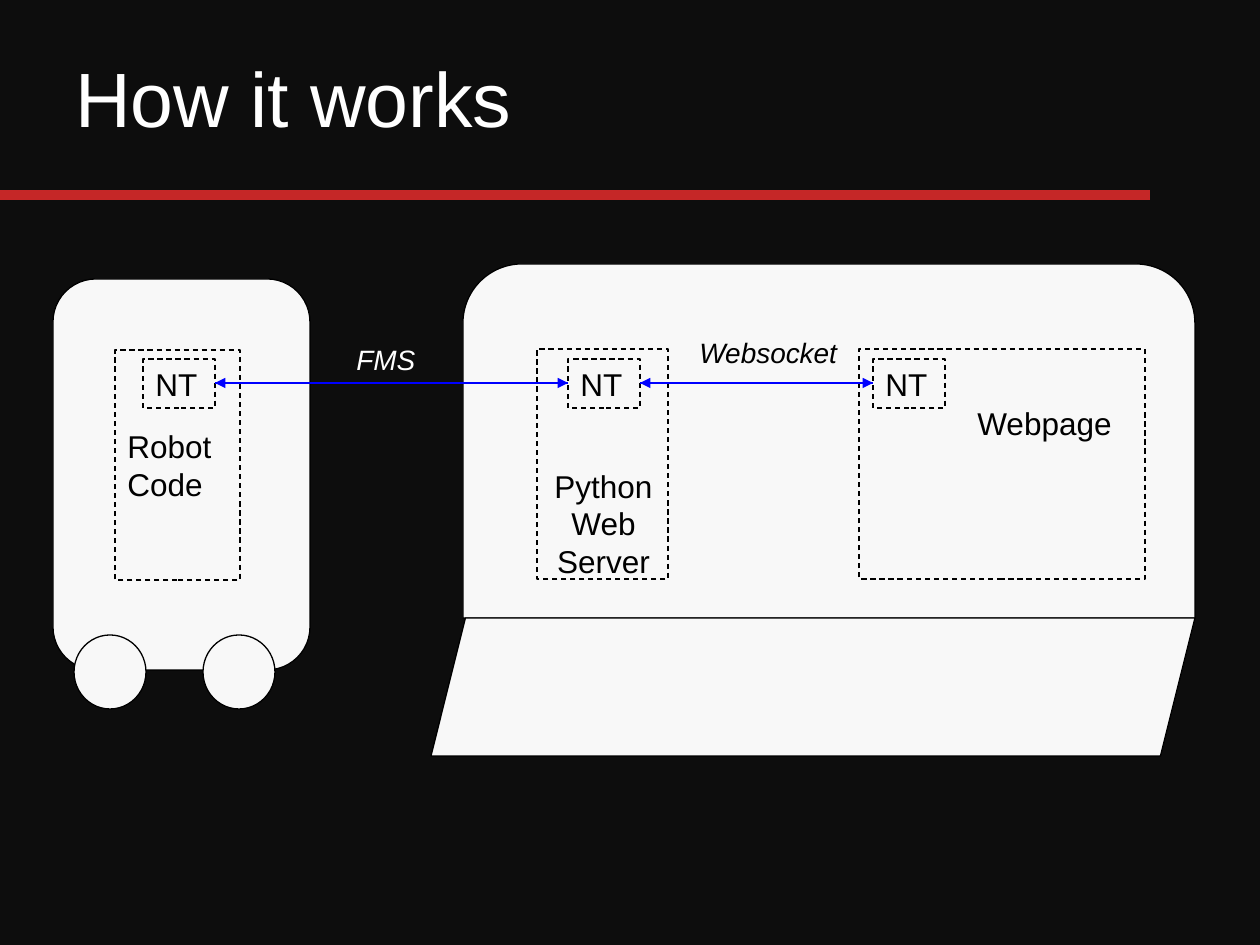
from lxml import etree
from pptx import Presentation
from pptx.dml.color import RGBColor
from pptx.enum.dml import MSO_LINE
from pptx.enum.shapes import MSO_CONNECTOR, MSO_SHAPE
from pptx.enum.text import MSO_ANCHOR, PP_ALIGN
from pptx.oxml.ns import qn
from pptx.util import Pt

PX = 914400 / 126
DASH = MSO_LINE.DASH
STRAIGHT = MSO_CONNECTOR.STRAIGHT
RECT, ROUNDED = MSO_SHAPE.RECTANGLE, MSO_SHAPE.ROUNDED_RECTANGLE
TOP_ROUNDED, SLANTED = MSO_SHAPE.ROUND_2_SAME_RECTANGLE, MSO_SHAPE.PARALLELOGRAM
OVAL = MSO_SHAPE.OVAL
TOP, MIDDLE = MSO_ANCHOR.TOP, MSO_ANCHOR.MIDDLE
LEFT, CENTER = PP_ALIGN.LEFT, PP_ALIGN.CENTER

COLORS = {
    "background": "0D0D0D",
    "rule": "C52727",
    "panel": "F8F8F8",
    "black": "000000",
    "white": "FFFFFF",
    "arrow": "0000FF",
}


def px(*values):
    return [round(v * PX) for v in values]


def rgb(name):
    return RGBColor.from_string(COLORS[name])


def write_text(s, lines, anchor=TOP, align=LEFT, color="black", size=18, **style):
    tf = s.text_frame
    frame = {"word_wrap": True, "vertical_anchor": anchor}
    margins = dict.fromkeys(("margin_left", "margin_top", "margin_right", "margin_bottom"), Pt(7.2))
    for name, value in (frame | margins).items():
        setattr(tf, name, value)
    font_values = {"name": "Arial", "size": Pt(size)} | style
    for i, line in enumerate(lines):
        p = tf.paragraphs[0] if i == 0 else tf.add_paragraph()
        p.text = line
        p.alignment = align
        for r in p.runs:
            for name, value in font_values.items():
                setattr(r.font, name, value)
            r.font.color.rgb = rgb(color)


def add_label(slide, box, *lines, **style):
    write_text(slide.shapes.add_textbox(*px(*box)), lines, **style)


def add_panel(slide, kind, box, adjustments=(), dash=None):
    s = slide.shapes.add_shape(kind, *px(*box))
    s.shadow.inherit = False
    s.fill.solid()
    s.fill.fore_color.rgb = rgb("panel")
    s.line.color.rgb = rgb("black")
    s.line.width = Pt(0.75)
    if dash:
        s.line.dash_style = dash
    for i, value in enumerate(adjustments):
        s.adjustments[i] = value
    return s


def add_line(slide, x1, x2, y, color, width, arrow=False):
    c = slide.shapes.add_connector(STRAIGHT, *px(x1, y, x2, y))
    c.line.color.rgb = rgb(color)
    c.line.width = Pt(width)
    if arrow:
        etree.SubElement(c.line._get_or_add_ln(), qn("a:tailEnd"), type="triangle")
    etree.SubElement(c._element.spPr, qn("a:effectLst"))


def add_two_way_link(slide, x1, x2, y):
    for start, end in ((x2, x1), (x1, x2)):
        add_line(slide, start, end, y, "arrow", 0.75, arrow=True)


def main():
    prs = Presentation()
    prs.slide_width, prs.slide_height = px(1260, 945)
    slide = prs.slides.add_slide(prs.slide_layouts[6])
    slide.background.fill.solid()
    slide.background.fill.fore_color.rgb = rgb("background")

    # Title and rule
    add_line(slide, 0, 1150, 195, "rule", 6)
    add_label(slide, (63, 38, 880, 157), "How it works", size=44, color="white")

    # Laptop and robot bodies
    add_panel(slide, TOP_ROUNDED, (463, 264, 732, 354), (0.167, 0))
    add_panel(slide, SLANTED, (431, 618, 764, 138), (0.25,))
    add_panel(slide, ROUNDED, (53, 279, 257, 391), (0.167,))

    # Programs
    robot_code = add_panel(slide, RECT, (115, 350, 125, 230), dash=DASH)
    write_text(robot_code, ["Robot", "Code"], anchor=MIDDLE)
    add_panel(slide, RECT, (859, 349, 286, 230), dash=DASH)
    add_label(slide, (965, 391, 180, 44), "Webpage")
    add_panel(slide, RECT, (537, 349, 131, 230), dash=DASH)
    add_label(slide, (538, 454, 131, 74), "Python\vWeb", "Server", align=CENTER)

    # Robot wheels
    for x in (74, 203):
        add_panel(slide, OVAL, (x, 635, 72, 74))

    # NT nodes and the links between them
    node_width = 72
    nodes = (143, 568, 873)
    for x in nodes:
        node = add_panel(slide, RECT, (x, 359, node_width, 49), dash=DASH)
        write_text(node, ["NT"], anchor=MIDDLE)
    for left, right in zip(nodes, nodes[1:]):
        add_two_way_link(slide, left + node_width, right, 383)

    # Link names
    add_label(slide, (687, 323, 169, 57), "Websocket", size=16, italic=True)
    add_label(slide, (310, 330, 152, 57), "FMS", size=16, italic=True,
              color="white", align=CENTER)

    prs.save("out.pptx")


if __name__ == "__main__":
    main()
